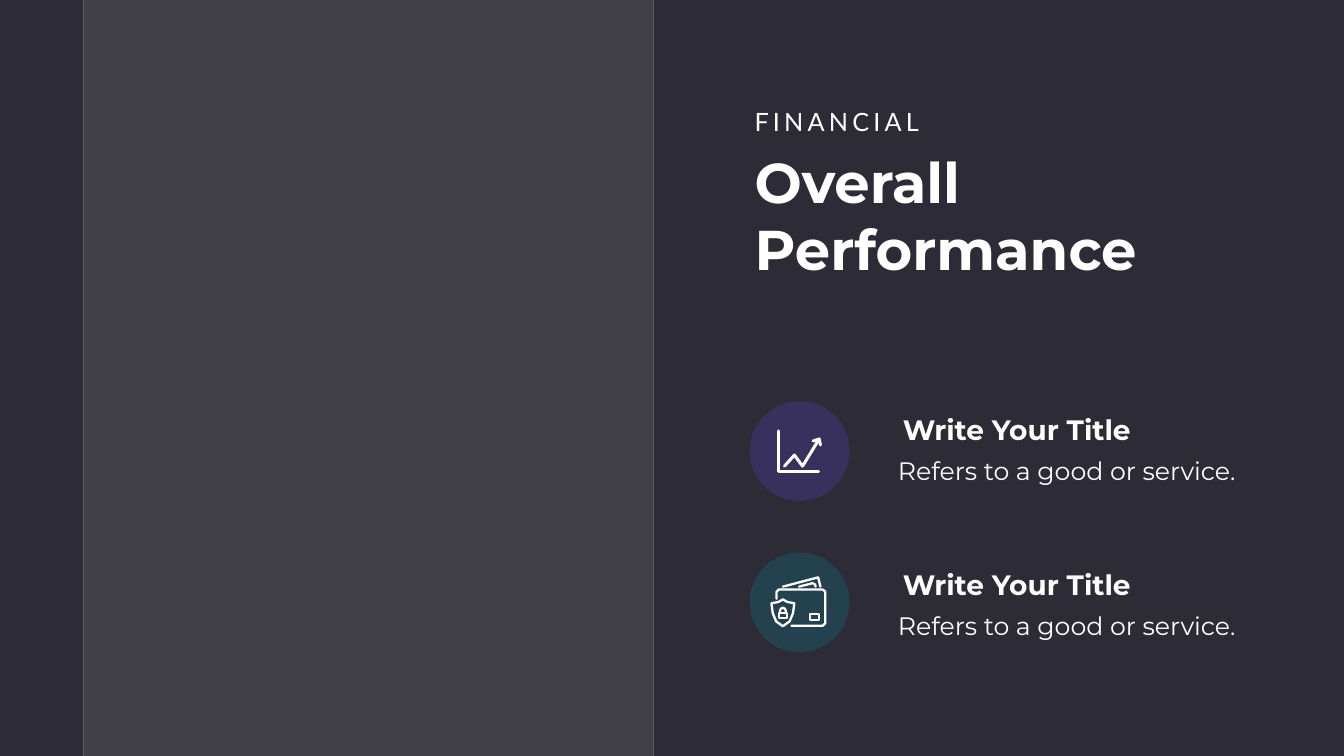
from lxml import etree
from pptx import Presentation
from pptx.dml.color import RGBColor
from pptx.enum.shapes import MSO_SHAPE
from pptx.oxml.ns import qn
from pptx.util import Pt

RECTANGLE = MSO_SHAPE.RECTANGLE
OVAL = MSO_SHAPE.OVAL

THEME = {
    "dark": "2D2C36", "white": "FFFFFF", "purple": "6642FB", "teal": "0098BA",
    "heading_font": "Montserrat", "label_font": "Lato",
    "title": 80, "item_title": 40, "body": 36,
}

PAGE_WIDTH, PAGE_HEIGHT = 1919.52, 1080
PANEL_EDGES = [0, 119.5, 933.1, PAGE_WIDTH]
PANEL_OPACITY = [100, 90, 100]
COLUMN = 1070.6
CIRCLE = 142.6

HEADING = "Overall Performance"
LABEL = "FINANCIAL"

CHART_LINES = [
    ([(41, 42.5), (41, 100), (98.6, 100)], False),
    ([(49.7, 92.9), (64, 77), (75.6, 92.9), (99.4, 54)], False),
    ([(90.7, 56.9), (99.4, 54), (101.2, 62.6)], False),
]

SHIELD_AXIS = 47.5
SHIELD_HALF = [(0, 67.3), (6.5, 70.9), (16.4, 72.7), (14.4, 87.1), (9.6, 98.6), (0, 105.5)]
SHIELD = ([(SHIELD_AXIS - x, y) for x, y in SHIELD_HALF]
          + [(SHIELD_AXIS + x, y) for x, y in SHIELD_HALF[-2:0:-1]])


def rectangle_points(left, top, right, bottom):
    return [(left, top), (right, top), (right, bottom), (left, bottom)]


WALLET_LINES = [
    ([(38.5, 66.2), (38.5, 56.2), (41.8, 53), (104.4, 53), (108, 56.2),
      (108, 101.5), (104.4, 104.8), (59.8, 104.8)], False),
    (rectangle_points(86.4, 87.8, 99.4, 96.5), True),
    ([(47.5, 49), (97.9, 35.7), (101.2, 49)], False),
    ([(70.6, 49), (90, 44), (93.6, 46.1), (94.3, 49)], False),
    (SHIELD, True),
    (rectangle_points(42.1, 86.8, 52.9, 94), True),
    ([(43.3, 86.8), (43.3, 83), (45, 80.2), (47.5, 79.2),
      (50, 80.2), (51.7, 83), (51.7, 86.8)], False),
]

ITEMS = [
    {"title": "Write Your Title", "body": "Refers to a good or service.", "color": "purple",
     "circle_top": 573.1, "text_top": 586.4, "icon": CHART_LINES, "stroke": 4.3},
    {"title": "Write Your Title", "body": "Refers to a good or service.", "color": "teal",
     "circle_top": 789.1, "text_top": 807.6, "icon": WALLET_LINES, "stroke": 3.3},
]


def add_filled(page, kind, left, top, width, height, color, opacity=100):
    shape = page.shapes.add_shape(kind, Pt(left), Pt(top), Pt(width), Pt(height))
    shape.shadow.inherit = False
    shape.fill.solid()
    shape.fill.fore_color.rgb = RGBColor.from_string(THEME[color])
    shape.line.fill.background()
    if opacity < 100:
        tint = shape._element.spPr.find(qn("a:solidFill"))[0]
        etree.SubElement(tint, qn("a:alpha"), val=str(opacity * 1000))


def add_text(page, text, left, top, width, height, size,
             font="heading_font", bold=False, spacing=0, inset=(7.2, 3.6)):
    box = page.shapes.add_textbox(Pt(left), Pt(top), Pt(width), Pt(height))
    frame = box.text_frame
    frame.word_wrap = True
    frame.margin_left = frame.margin_right = Pt(inset[0])
    frame.margin_top = frame.margin_bottom = Pt(inset[1])
    span = frame.paragraphs[0].add_run()
    span.text = text
    span.font.name = THEME[font]
    span.font.size = Pt(THEME[size])
    span.font.bold = bold
    span.font.color.rgb = RGBColor.from_string(THEME["white"])
    if spacing:
        span.font._element.set("spc", str(spacing * 100))


def add_icon(page, lines, left, top, stroke):
    for points, closed in lines:
        corners = [(Pt(left + x), Pt(top + y)) for x, y in points]
        builder = page.shapes.build_freeform(*corners[0])
        builder.add_line_segments(corners[1:], close=closed)
        outline = builder.convert_to_shape()
        outline.shadow.inherit = False
        outline.fill.background()
        outline.line.width = Pt(stroke)
        outline.line.color.rgb = RGBColor.from_string(THEME["white"])
        pen = outline._element.spPr.find(qn("a:ln"))
        pen.set("cap", "rnd")
        etree.SubElement(pen, qn("a:round"))


def main():
    deck = Presentation()
    deck.slide_width, deck.slide_height = Pt(PAGE_WIDTH), Pt(PAGE_HEIGHT)
    page = deck.slides.add_slide(deck.slide_layouts[6])

    for left, right, opacity in zip(PANEL_EDGES, PANEL_EDGES[1:], PANEL_OPACITY):
        add_filled(page, RECTANGLE, left, 0, right - left, PAGE_HEIGHT, "dark", opacity)

    add_text(page, HEADING, COLUMN, 206.6, 607.7, 200.9, "title", bold=True)
    add_text(page, LABEL, COLUMN, 148.3, 265, 51.1, "body", font="label_font", spacing=6)

    for item in ITEMS:
        add_filled(page, OVAL, COLUMN, item["circle_top"], CIRCLE, CIRCLE, item["color"], 20)
        add_icon(page, item["icon"], COLUMN, item["circle_top"], item["stroke"])
        add_text(page, item["body"], 1265, item["text_top"] + 55.8, 517, 61.2,
                 "body", inset=(17.3, 8.6))
        add_text(page, item["title"], 1282.3, item["text_top"], 408.2, 55.4,
                 "item_title", bold=True)

    deck.save("out.pptx")


if __name__ == "__main__":
    main()
